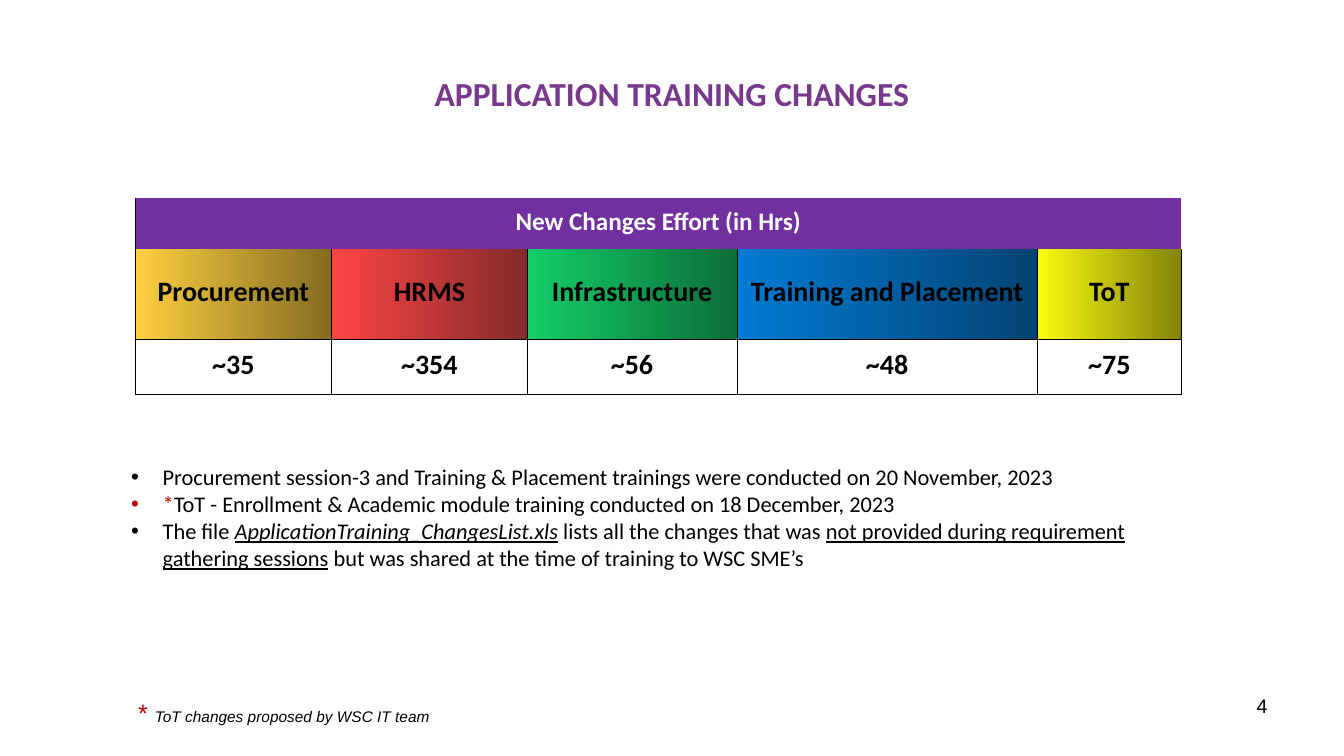
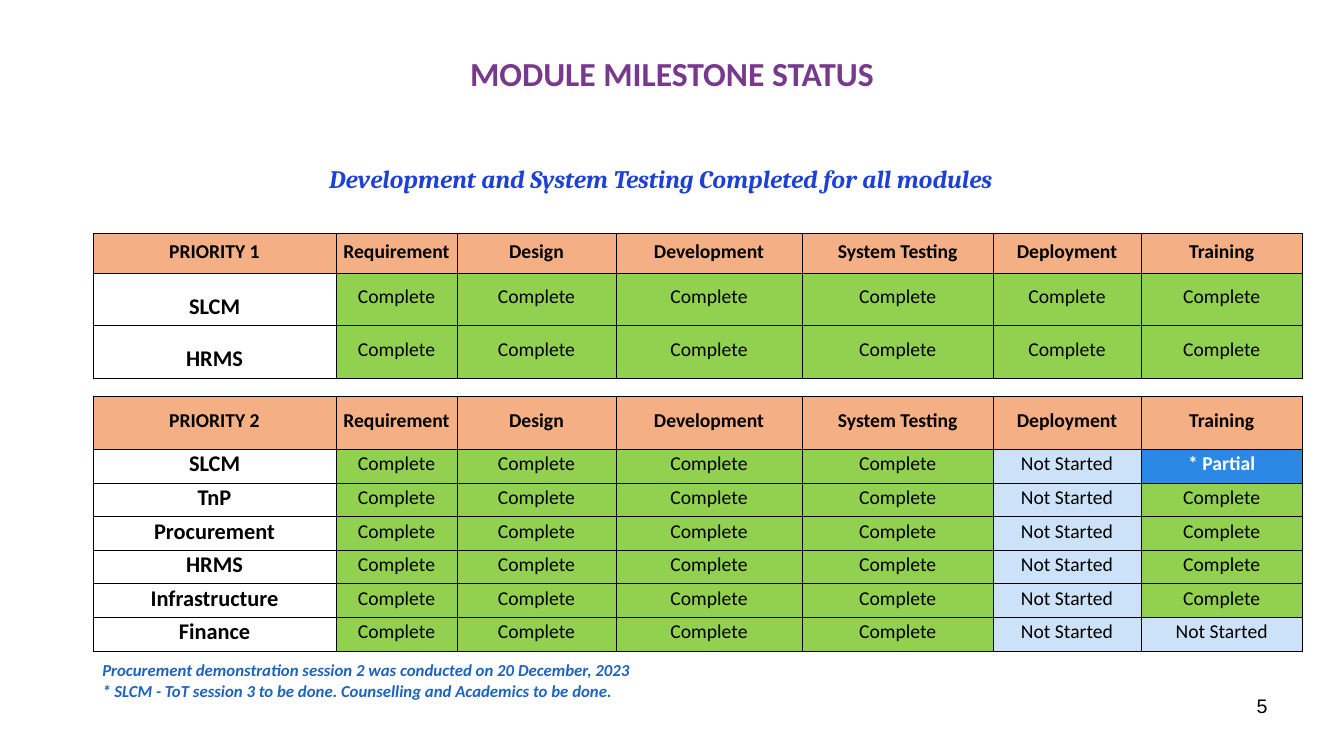
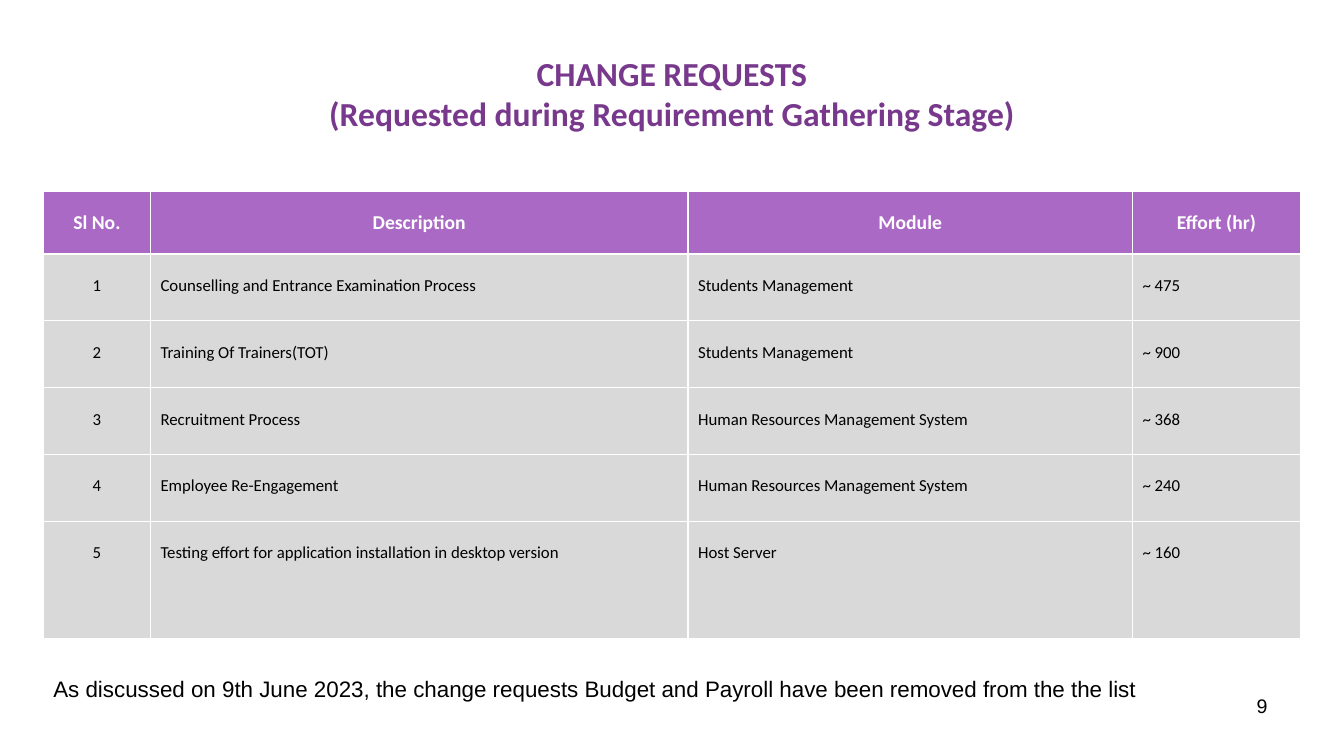
import pptx
import pptx.util
import pptx.dml.color
import pptx.enum.text
import pptx.oxml.ns
import lxml.etree

Pt = pptx.util.Pt
qn = pptx.oxml.ns.qn
Align = pptx.enum.text.PP_ALIGN
Anchor = pptx.enum.text.MSO_ANCHOR


class Theme:
    sans = "Calibri"
    plain = "Arial"
    serif = "Cambria"
    black = "000000"
    white = "FFFFFF"
    title = "78398D"
    band = "7030A0"
    head = "A969C4"
    grey = "D9D9D9"
    peach = "F4B084"
    green = "92D050"
    pale = "CBE2F9"
    blue = "2C88E5"
    note = "1E63BD"
    royal = "1D41D5"
    red = "C00000"
    huge = 24
    large = 20
    lead = 18
    text = 16
    small = 14
    tiny = 12
    foot = 11


def write(frame, lines, size, font=Theme.sans, color=Theme.black,
          align=Align.LEFT, bold=False, italic=False, gap=None):
    frame.word_wrap = True
    for i, line in enumerate(lines):
        para = frame.paragraphs[0] if i == 0 else frame.add_paragraph()
        para.alignment = align
        para.space_before = Pt(0)
        if gap:
            para.line_spacing = gap
        for text, extra in [(line, {})] if isinstance(line, str) else line:
            run = para.add_run()
            run.text = text
            run.font.name = font
            run.font.size = Pt(extra.get("size", size))
            run.font.bold = bold
            run.font.italic = extra.get("italic", italic)
            run.font.underline = extra.get("under", False)
            shade = extra.get("color", color)
            run.font.color.rgb = pptx.dml.color.RGBColor.from_string(shade)


def grid(slide, x, y, cols, rows, cells, line, width, pad=None):
    shape = slide.shapes.add_table(len(rows), len(cols), Pt(x), Pt(y),
                                   Pt(sum(cols)), Pt(sum(rows)))
    table = shape.table
    table.first_row = table.horz_banding = False
    for col, size in zip(table.columns, cols):
        col.width = Pt(size)
    for row, size in zip(table.rows, rows):
        row.height = Pt(size)
    for r, items in enumerate(cells):
        for c, (text, fill, anchor, sides, style) in enumerate(items):
            cell = table.cell(r, c)
            cell.vertical_anchor = anchor
            if pad:
                (cell.margin_left, cell.margin_top,
                 cell.margin_right, cell.margin_bottom) = map(Pt, pad)
            props = cell._tc.get_or_add_tcPr()
            for side in "LRTB":
                edge = lxml.etree.SubElement(props, qn("a:ln" + side), w=str(Pt(width)))
                if side in sides:
                    solid = lxml.etree.SubElement(edge, qn("a:solidFill"))
                    lxml.etree.SubElement(solid, qn("a:srgbClr"), val=line)
                else:
                    lxml.etree.SubElement(edge, qn("a:noFill"))
            if fill is None:
                cell.fill.background()
            elif isinstance(fill, tuple):
                cell.fill.gradient()
                cell.fill.gradient_angle = 0
                for stop, shade in zip(cell.fill.gradient_stops, fill):
                    stop.color.rgb = pptx.dml.color.RGBColor.from_string(shade)
            else:
                cell.fill.solid()
                cell.fill.fore_color.rgb = pptx.dml.color.RGBColor.from_string(fill)
            if text:
                write(cell.text_frame, [text], **style)
    return table


deck = pptx.Presentation()
deck.slide_width = Pt(960)
deck.slide_height = Pt(540)

pages = [
    (1, 90, "4", ["APPLICATION TRAINING CHANGES"]),
    (5, 61, "5", ["MODULE MILESTONE STATUS"]),
    (5, 90, "9", ["CHANGE REQUESTS", "(Requested during Requirement Gathering Stage)"]),
]
for layout, high, number, lines in pages:
    slide = deck.slides.add_slide(deck.slide_layouts[layout])
    title = slide.shapes.title
    title.left, title.top, title.width, title.height = map(Pt, (48, 21.5, 864, high))
    title.text_frame.auto_size = pptx.enum.text.MSO_AUTO_SIZE.NONE
    title.text_frame.vertical_anchor = Anchor.MIDDLE
    write(title.text_frame, lines, Theme.huge, color=Theme.title,
          align=Align.CENTER, bold=True)
    box = slide.shapes.add_textbox(Pt(688.5), Pt(492), Pt(224), Pt(37.5))
    write(box.text_frame, [number], Theme.small, Theme.plain, align=Align.RIGHT)
train, status, change = deck.slides

body = train.placeholders[1]
body.left, body.top, body.width, body.height = map(Pt, (86.5, 327.5, 787.5, 119))
body.text_frame.auto_size = pptx.enum.text.MSO_AUTO_SIZE.NONE
write(body.text_frame, [
    "Procurement session-3 and Training & Placement trainings were conducted on 20 November, 2023",
    [("*", {"color": Theme.red}),
     ("ToT - Enrollment & Academic module training conducted on 18 December, 2023", {})],
    [("The file ", {}),
     ("ApplicationTraining_ChangesList.xls", {"italic": True, "under": True}),
     (" lists all the changes that was ", {}),
     ("not provided during requirement gathering sessions", {"under": True}),
     (" but was shared at the time of training to WSC SME’s", {})],
], Theme.text)
for para in body.text_frame.paragraphs:
    props = para._p.get_or_add_pPr()
    props.set("marL", str(Pt(22.5)))
    props.set("indent", str(Pt(-22.5)))
    lxml.etree.SubElement(props, qn("a:buChar"), char="•")

pad = (0.75, 0.75, 0.75, 3.6)
mid = {"align": Align.CENTER}
strong = {"align": Align.CENTER, "bold": True}
big = {**strong, "size": Theme.large}
efforts = [
    ("Procurement", "~35", ("FECF40", "846C21")),
    ("HRMS", "~354", ("FE4444", "832B2B")),
    ("Infrastructure", "~56", ("14CD68", "0B6E38")),
    ("Training and Placement", "~48", ("007BD3", "034373")),
    ("ToT", "~75", ("FBFB11", "838309")),
]
banner = {**strong, "size": Theme.lead, "color": Theme.white}
cells = [
    [("New Changes Effort (in Hrs)", Theme.band, Anchor.MIDDLE, "L", banner)]
    + [("", Theme.band, Anchor.MIDDLE, "", banner)] * 4,
    [(name, fill, Anchor.MIDDLE, "LRB", big) for name, hours, fill in efforts],
    [(hours, None, Anchor.MIDDLE, "LRTB", big) for name, hours, fill in efforts],
]
table = grid(train, 96.5, 141.5, [140.5, 139.5, 150, 214.5, 103], [36.5, 64.5, 39.5],
             cells, Theme.black, 0.5, pad)
table.cell(0, 0).merge(table.cell(0, 4))

box = train.shapes.add_textbox(Pt(91.5), Pt(494.5), Pt(746.5), Pt(29))
write(box.text_frame, [[
    ("* ", {"size": Theme.lead, "color": Theme.red, "italic": False}),
    ("ToT changes proposed by WSC IT team", {}),
]], Theme.foot, Theme.plain, italic=True)

box = status.shapes.add_textbox(Pt(66), Pt(468), Pt(872), Pt(20))
write(box.text_frame, [
    "Procurement demonstration session 2 was conducted on 20 December, 2023",
    "* SLCM - ToT session 3 to be done. Counselling and Academics to be done.",
], Theme.tiny, color=Theme.note, bold=True, italic=True)

done, idle, part = "Complete", "Not Started", "* Partial"
marks = {
    done: (Theme.green, {**mid, "size": Theme.small}),
    idle: (Theme.pale, {**mid, "size": Theme.small}),
    part: (Theme.blue, {**strong, "size": Theme.small, "color": Theme.white}),
}
stages = ["Requirement", "Design", "Development", "System Testing", "Deployment", "Training"]
groups = [
    ("PRIORITY 2", 283, 38, 24, [
        ("SLCM", idle, part), ("TnP", idle, done), ("Procurement", idle, done),
        ("HRMS", idle, done), ("Infrastructure", idle, done), ("Finance", idle, idle)]),
    ("PRIORITY 1", 167, 28, 37.5, [("SLCM", done, done), ("HRMS", done, done)]),
]
for label, top, first, high, units in groups:
    cells = [[(name, Theme.peach, Anchor.MIDDLE, "LRTB", {**strong, "size": Theme.small})
              for name in [label] + stages]]
    for name, *last in units:
        row = [(name, None, Anchor.BOTTOM, "LRTB", {**strong, "size": Theme.text})]
        for mark in [done] * 4 + last:
            fill, style = marks[mark]
            row.append((mark, fill, Anchor.MIDDLE, "LRTB", style))
        cells.append(row)
    grid(status, 66.5, top, [173.5, 86.5, 113.5, 133, 136.5, 105.5, 115.5],
         [first] + [high] * len(units), cells, Theme.black, 0.5, pad)

box = status.shapes.add_textbox(Pt(144.5), Pt(113), Pt(655), Pt(29))
write(box.text_frame, ["Development and System Testing Completed for all modules"],
      Theme.lead, Theme.serif, Theme.royal, Align.CENTER, True, True)

asks = [
    ("1", "Counselling and Entrance Examination Process", "Students Management", "~ 475"),
    ("2", "Training Of Trainers(TOT)", "Students Management", "~ 900"),
    ("3", "Recruitment Process", "Human Resources Management System", "~ 368"),
    ("4", "Employee Re-Engagement", "Human Resources Management System", "~ 240"),
    ("5", "Testing effort for application installation in desktop version", "Host Server", "~ 160"),
]
cells = [[(name, Theme.head, Anchor.MIDDLE, "LRTB",
           {**strong, "size": Theme.small, "color": Theme.white})
          for name in ("Sl No.", "Description", "Module", "Effort (hr)")]]
for ask in asks:
    cells.append([(text, Theme.grey, Anchor.TOP, "LRTB",
                   {"size": Theme.tiny, "gap": 1.8,
                    "align": Align.LEFT if c else Align.CENTER})
                  for c, text in enumerate(ask)])
grid(change, 31, 136.5, [76.5, 384, 317.5, 120], [45] + [47.75] * 4 + [84],
     cells, Theme.white, 1)

box = change.shapes.add_textbox(Pt(31), Pt(479), Pt(877), Pt(26.5))
write(box.text_frame, [
    "As discussed on 9th June 2023, the change requests Budget and Payroll "
    "have been removed from the the list",
], Theme.text, Theme.plain)

deck.save("out.pptx")
